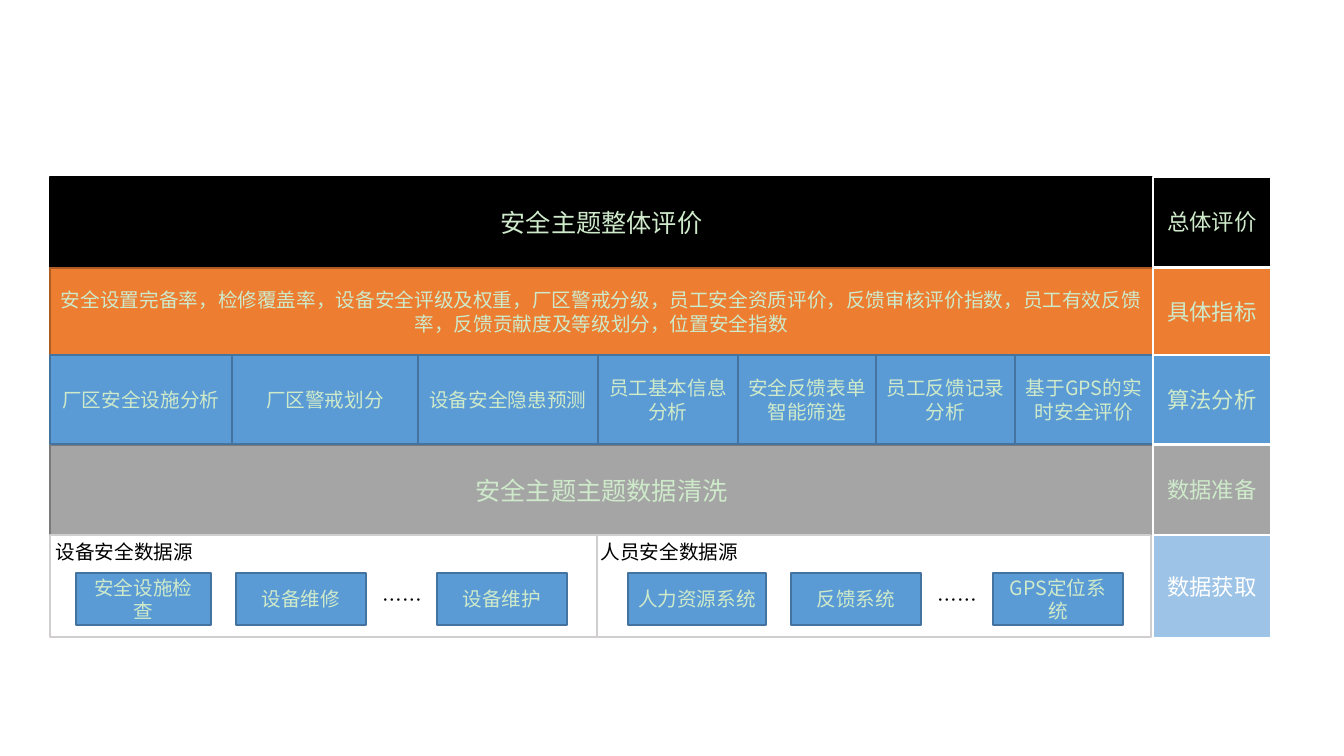
from itertools import pairwise
from typing import NamedTuple

from lxml import etree
from pptx import Presentation
from pptx import util as u
from pptx.dml import color
from pptx.enum import shapes, text
from pptx.oxml import ns

SCALE = 914400 / 100.8
FONT = "Noto Sans CJK SC"
WHITE, BLACK, PALE = "FFFFFF", "000000", "CEEACA"
BLUE, NAVY, SILVER = "5B9BD5", "43739E", "D0CECE"
LEFT, SPLIT, RIGHT, SIDE = 50, 597, 1153, 118


class Row(NamedTuple):
    top: int
    high: int
    name: str
    fill: str
    line: str
    title: str = ""
    size: int = 18
    ink: str = PALE
    edge: float = 1.5


class Box(NamedTuple):
    left: int
    wide: int
    name: str


class Source(NamedTuple):
    left: int
    right: int
    head: Box
    dots: Box
    boxes: list[Box]


ROWS = [
    Row(177, 90, "总体评价", BLACK, BLACK, "安全主题整体评价"),
    Row(268, 87, "具体指标", "ED7D31", "AF5C24",
        "安全设置完备率，检修覆盖率，设备安全评级及权重，厂区警戒分级，"
        "员工安全资质评价，反馈审核评价指数，员工有效反馈率，"
        "反馈贡献度及等级划分，位置安全指数", 14),
    Row(355, 89, "算法分析", BLUE, NAVY),
    Row(445, 90, "数据准备", "A5A5A5", "7A7A7A", "安全主题主题数据清洗"),
    Row(535, 103, "数据获取", "9DC3E6", SILVER, ink=WHITE, edge=1),
]
EDGES = [LEFT, 232, 418, 598, 738, 876, 1015, RIGHT]
TASKS = ["厂区安全设施分析", "厂区警戒划分", "设备安全隐患预测", "员工基本信息分析",
         "安全反馈表单智能筛选", "员工反馈记录分析", "基于GPS的实时安全评价"]
SOURCES = [
    Source(LEFT, SPLIT, Box(42, 165, "设备安全数据源"), Box(373, 69, "……"),
           [Box(76, 135, "安全设施检查"), Box(236, 130, "设备维修"),
            Box(437, 130, "设备维护")]),
    Source(SPLIT, RIGHT - 2, Box(572, 195, "人员安全数据源"), Box(928, 79, "……"),
           [Box(628, 138, "人力资源系统"), Box(791, 130, "反馈系统"),
            Box(993, 130, "GPS定位系统")]),
]


def px(n: int) -> u.Emu:
    """Turn pixels into EMU."""
    return u.Emu(round(n * SCALE))


def rgb(code: str) -> color.RGBColor:
    """Turn a hex string into a colour."""
    return color.RGBColor.from_string(code)


def write(frame, words: str, *, size: int = 14, ink: str = PALE,
          align=text.PP_ALIGN.CENTER, anchor=text.MSO_ANCHOR.MIDDLE) -> None:
    """Put formatted text into a frame."""
    frame.word_wrap = True
    frame.vertical_anchor = anchor
    para = frame.paragraphs[0]
    para.alignment = align
    run = para.add_run()
    run.text = words
    run.font.size = u.Pt(size)
    run.font.name = FONT
    run.font.color.rgb = rgb(ink)
    run.font.language_id = None
    props = run._r.get_or_add_rPr()
    props.set("lang", "zh-CN")
    etree.SubElement(props, ns.qn("a:ea"), typeface=FONT)


def block(slide, left: int, top: int, wide: int, high: int, words: str = "", *,
          fill: str = BLUE, line: str = NAVY, edge: float = 1, **style) -> None:
    """Draw a rectangle with optional centred text."""
    shape = slide.shapes.add_shape(shapes.MSO_SHAPE.RECTANGLE,
                                   px(left), px(top), px(wide), px(high))
    shape.shadow.inherit = False
    shape.fill.solid()
    shape.fill.fore_color.rgb = rgb(fill)
    shape.line.color.rgb = rgb(line)
    shape.line.width = u.Pt(edge)
    if words:
        write(shape.text_frame, words, **style)


def label(slide, box: Box, top: int, align) -> None:
    """Draw plain black text."""
    area = slide.shapes.add_textbox(px(box.left), px(top), px(box.wide), px(33))
    write(area.text_frame, box.name, ink=BLACK, align=align,
          anchor=text.MSO_ANCHOR.TOP)


def source(slide, src: Source, row: Row) -> None:
    """Draw one data source panel."""
    block(slide, src.left, row.top, src.right - src.left, row.high - 1,
          fill=WHITE, line=row.line)
    label(slide, src.head, row.top, text.PP_ALIGN.CENTER)
    for box in src.boxes:
        block(slide, box.left, 573, box.wide, 52, box.name)
    label(slide, src.dots, 583, text.PP_ALIGN.LEFT)


def main() -> None:
    """Build and save the slide."""
    deck = Presentation()
    deck.slide_width, deck.slide_height = px(1344), px(756)
    slide = deck.slides.add_slide(deck.slide_layouts[6])
    for row in ROWS:
        if row.title:
            block(slide, LEFT, row.top, RIGHT - LEFT, row.high, row.title,
                  fill=row.fill, line=row.line, size=row.size)
    for (left, right), task in zip(pairwise(EDGES), TASKS):
        block(slide, left, ROWS[2].top, right - left, ROWS[2].high, task)
    for src in SOURCES:
        source(slide, src, ROWS[-1])
    for row in ROWS:
        block(slide, RIGHT, row.top, SIDE, row.high, row.name, fill=row.fill,
              line=WHITE, edge=row.edge, size=16, ink=row.ink)
    deck.save("out.pptx")


if __name__ == "__main__":
    main()
